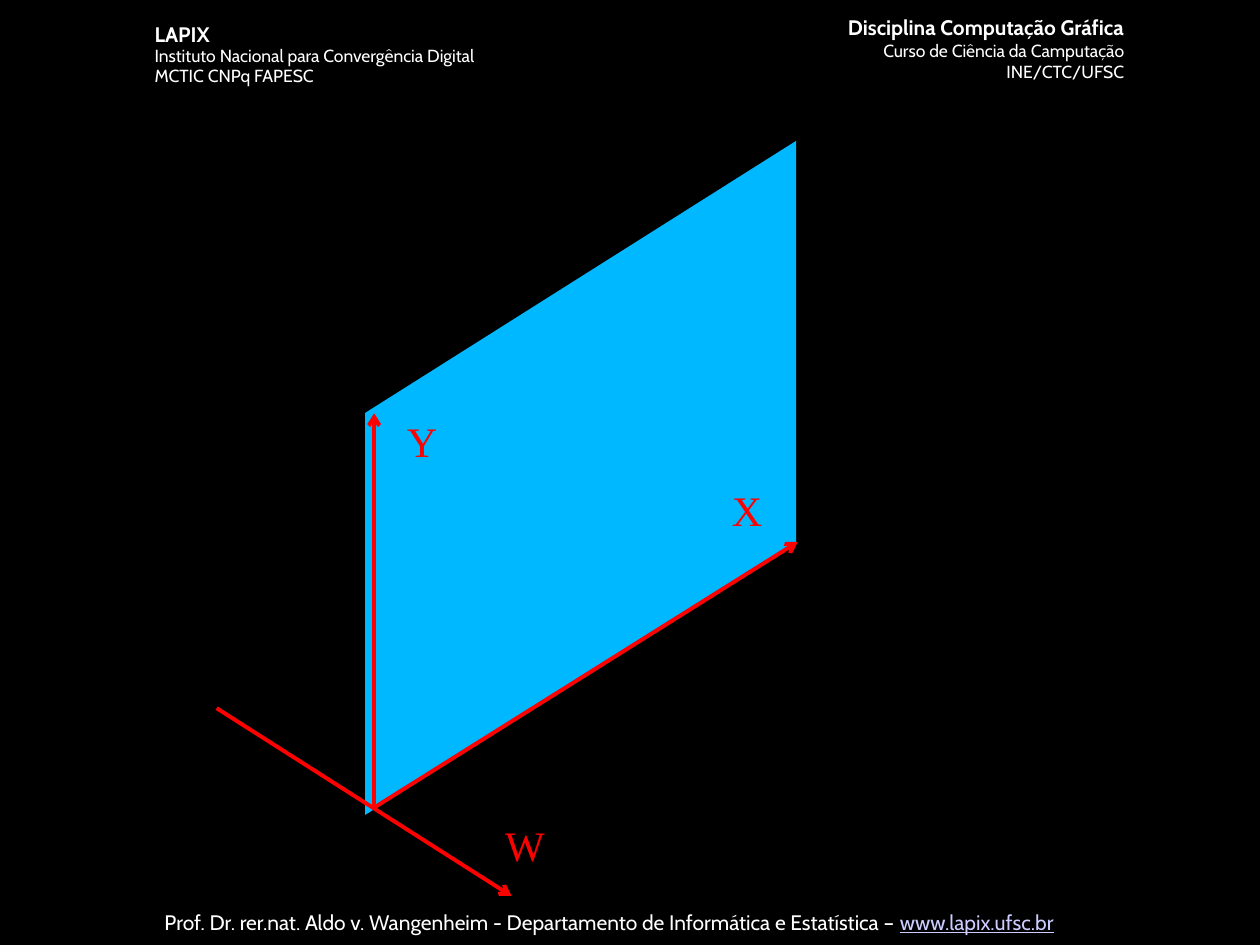
import pptx
import pptx.dml.color
import pptx.enum.shapes
import pptx.enum.text
import pptx.oxml
import pptx.oxml.ns
import pptx.util

Pt = pptx.util.Pt
ALIGN = pptx.enum.text.PP_ALIGN
COLORS = {"background": "000000", "text": "FFFFFF", "link": "CCCCFF",
          "plane": "00B8FF", "axis": "FF0000"}


def color(name):
    return pptx.dml.color.RGBColor.from_string(COLORS[name])


def style_font(font, name, size, fill, bold=False):
    font.name = name
    font.size = Pt(size)
    font.bold = bold
    font.color.rgb = color(fill)


def add_text(page, area, wrap=False):
    box = page.shapes.add_textbox(*[Pt(length) for length in area])
    box.text_frame.word_wrap = wrap
    box.text_frame.auto_size = pptx.enum.text.MSO_AUTO_SIZE.SHAPE_TO_FIT_TEXT
    return box.text_frame


def add_heading(page, area, lines, alignment, spacing):
    frame = add_text(page, area)
    for index, line in enumerate(lines):
        para = frame.add_paragraph() if index else frame.paragraphs[0]
        para.text = line
        para.alignment = alignment
        para.line_spacing = spacing
        style_font(para.font, "Cabin", 10 if index else 12, "text", index == 0)


def add_footer(page, area):
    para = add_text(page, area, wrap=True).paragraphs[0]
    para.alignment = ALIGN.CENTER
    style_font(para.font, "Cabin", 12, "text")
    para.add_run().text = ("Prof. Dr. rer.nat. Aldo v. Wangenheim - Departamento "
                           "de Informática e Estatística – ")
    address = para.add_run()
    address.text = "www.lapix.ufsc.br"
    address.font.underline = True
    address.font.color.rgb = color("link")


def add_plane(page, left, top, width, height, slant):
    builder = page.shapes.build_freeform(Pt(left), Pt(top + slant))
    corners = [(left + width, top), (left + width, top + height - slant),
               (left, top + height)]
    builder.add_line_segments([(Pt(x), Pt(y)) for x, y in corners])
    plane = builder.convert_to_shape()
    plane.shadow.inherit = False
    plane.fill.solid()
    plane.fill.fore_color.rgb = color("plane")
    plane.line.fill.background()


def add_axis(page, start, end):
    axis = page.shapes.add_connector(
        pptx.enum.shapes.MSO_CONNECTOR.STRAIGHT,
        *[Pt(length) for length in (*start, *end)])
    axis.line.width = Pt(2.25)
    axis.line.color.rgb = color("axis")
    arrow = pptx.oxml.parse_xml(
        f'<a:tailEnd {pptx.oxml.ns.nsdecls("a")} type="arrow"/>')
    axis.line._get_or_add_ln().append(arrow)
    axis._element.spPr.append(
        pptx.oxml.parse_xml(f'<a:effectLst {pptx.oxml.ns.nsdecls("a")}/>'))


def add_axis_label(page, area, letter):
    para = add_text(page, area).paragraphs[0]
    para.text = letter
    para.line_spacing = 0.93
    style_font(para.font, "Times New Roman", 24, "axis")


def add_diagram(page, left, top):
    def at(x, y):
        return left + x, top + y

    add_plane(page, *at(84.8, 0), 246.3, 385.2, 155.5)
    origin = at(90, 381)
    add_axis(page, at(0, 324.2), at(168.5, 431.5))
    add_axis(page, origin, at(332, 229.2))
    add_axis(page, origin, at(90, 155.7))
    labels = [("X", 287.3, 195.3, 31.7), ("Y", 101.6, 155.7, 31.7),
              ("W", 157.7, 386.8, 36.7)]
    for letter, x, y, width in labels:
        add_axis_label(page, (*at(x, y), width, 33.8), letter)


def main():
    deck = pptx.Presentation()
    deck.slide_width, deck.slide_height = Pt(720), Pt(540)
    page = deck.slides.add_slide(deck.slide_layouts[6])
    page.background.fill.solid()
    page.background.fill.fore_color.rgb = color("background")
    add_heading(page, (452.2, 5, 197.2, 45.4),
                ["Disciplina Computação Gráfica",
                 "Curso de Ciência da Camputação", "INE/CTC/UFSC"],
                ALIGN.RIGHT, 1.0)
    add_heading(page, (81.3, 10, 220.3, 42.5),
                ["LAPIX", "Instituto Nacional para Convergência Digital",
                 "MCTIC CNPq FAPESC"], ALIGN.LEFT, 0.93)
    add_footer(page, (30.2, 516.2, 635.8, 23.8))
    add_diagram(page, 123.8, 80.5)
    deck.save("out.pptx")


if __name__ == "__main__":
    main()
